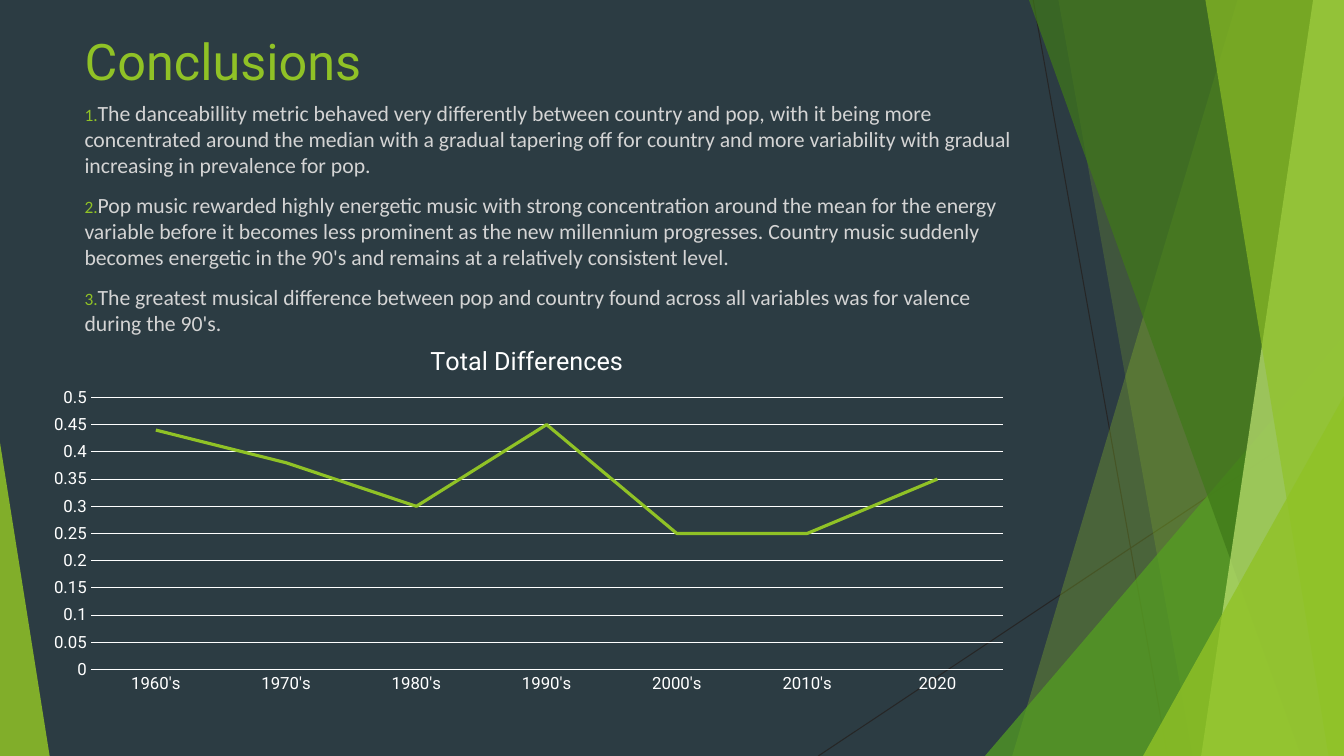
from lxml import etree
from pptx import Presentation
from pptx.chart.data import CategoryChartData
from pptx.dml.color import RGBColor
from pptx.enum.chart import XL_CHART_TYPE as ChartType, XL_TICK_MARK as TickMark
from pptx.enum.shapes import MSO_CONNECTOR as Connector, MSO_SHAPE as Shape
from pptx.enum.text import MSO_ANCHOR as Anchor, MSO_AUTO_SIZE as AutoSize, PP_ALIGN as Align
from pptx.oxml import parse_xml
from pptx.oxml.ns import nsdecls, qn
from pptx.util import Pt

SLATE = RGBColor(0x2C, 0x3C, 0x43)
LIME = RGBColor(0x90, 0xC2, 0x26)
GREEN = RGBColor(0x54, 0xA0, 0x21)
DARK_GREEN = RGBColor(0x3F, 0x78, 0x19)
PALE_LIME = RGBColor(0xC0, 0xE4, 0x74)
CHARCOAL = RGBColor(0x26, 0x26, 0x26)
LIGHT_GRAY = RGBColor(0xD4, 0xD4, 0xD4)
WHITE = RGBColor(0xFF, 0xFF, 0xFF)
WIDTH, HEIGHT = 960, 540


def style_font(font, name, size, color):
    font.name, font.size, font.bold = name, Pt(size), False
    font.color.rgb = color


def style_facet(shape, color, opacity):
    shape.shadow.inherit = False
    shape.line.fill.background()
    shape.fill.solid()
    shape.fill.fore_color.rgb = color
    color_element = shape.fill._xPr.find(qn("a:solidFill"))[0]
    etree.SubElement(color_element, qn("a:alpha"), val=str(opacity * 1000))


presentation = Presentation()
presentation.slide_width, presentation.slide_height = Pt(WIDTH), Pt(HEIGHT)
slide = presentation.slides.add_slide(presentation.slide_layouts[5])
slide.background.fill.solid()
slide.background.fill.fore_color.rgb = SLATE
shapes = slide.shapes

# Thin crossing lines
for x1, y1, x2, y2 in [(738, 0, 834, HEIGHT), (WIDTH, 290, 584.5, HEIGHT)]:
    line = shapes.add_connector(Connector.STRAIGHT, Pt(x1), Pt(y1), Pt(x2), Pt(y2))
    line.line.color.rgb = CHARCOAL
    line.line.width = Pt(0.75)
    etree.SubElement(line._element.spPr, qn("a:effectLst"))

# Facets reach the right edge: left x at the top, left x at the bottom
# Triangles: left, top, width, apex position
facets = [
    ("band", (884, 723), LIME, 30),
    ("band", (756, 852), LIME, 20),
    ("triangle", (703.5, 240, 256.5, 1), GREEN, 72),
    ("band", (735, 929.5), DARK_GREEN, 70),
    ("band", (938, 858), PALE_LIME, 70),
    ("band", (861, 949), LIME, 65),
    ("triangle", (816.5, 283, 143.5, 1), LIME, 80),
    ("triangle", (0, 316, 35.5, 0), LIME, 85),
]
for kind, geometry, color, opacity in facets:
    if kind == "band":
        top_x, bottom_x = geometry
        builder = shapes.build_freeform(Pt(top_x), 0)
        corners = [(WIDTH, 0), (WIDTH, HEIGHT), (bottom_x, HEIGHT)]
        builder.add_line_segments([(Pt(x), Pt(y)) for x, y in corners])
        facet = builder.convert_to_shape()
    else:
        left, top, width, apex = geometry
        facet = shapes.add_shape(Shape.ISOSCELES_TRIANGLE, Pt(left), Pt(top),
                                 Pt(width), Pt(HEIGHT - top))
        facet.adjustments[0] = apex
    style_facet(facet, color, opacity)

# Title
title = shapes.title
title.left, title.top, title.width, title.height = Pt(53.3), Pt(15.8), Pt(677), Pt(52.5)
title.text_frame.text = "Conclusions"
title.text_frame.auto_size = AutoSize.NONE
title.text_frame.vertical_anchor = Anchor.BOTTOM
title.text_frame.paragraphs[0].alignment = Align.LEFT
style_font(title.text_frame.paragraphs[0].runs[0].font, "Roboto", 36, LIME)

# Numbered conclusions
conclusions = [
    "The danceabillity metric behaved very differently between country and pop, with it being "
    "more concentrated around the median with a gradual tapering off for country and more "
    "variability with gradual increasing in prevalence for pop.",
    "Pop music rewarded highly energetic music with strong concentration around the mean for "
    "the energy variable before it becomes less prominent as the new millennium progresses. "
    "Country music suddenly becomes energetic in the 90's and remains at a relatively "
    "consistent level.",
    "The greatest musical difference between pop and country found across all variables was "
    "for valence during the 90's.",
]
body = shapes.add_textbox(Pt(53.3), Pt(67.7), Pt(677), Pt(154)).text_frame
body.word_wrap = True
for index, conclusion in enumerate(conclusions):
    paragraph = body.add_paragraph() if index else body.paragraphs[0]
    paragraph.text = conclusion
    paragraph.space_before = Pt(10)
    style_font(paragraph.runs[0].font, "Calibri", 15.5, LIGHT_GRAY)
    properties = paragraph._p.get_or_add_pPr()
    properties.set("marL", "0")
    properties.set("indent", "0")
    bullet_color = etree.SubElement(properties, qn("a:buClr"))
    etree.SubElement(bullet_color, qn("a:srgbClr"), val=str(LIME))
    etree.SubElement(properties, qn("a:buSzPct"), val="80000")
    etree.SubElement(properties, qn("a:buFont"), typeface="+mj-lt")
    etree.SubElement(properties, qn("a:buAutoNum"), type="arabicPeriod")

# Line chart
data = CategoryChartData()
data.categories = ["1960's", "1970's", "1980's", "1990's", "2000's", "2010's", "2020"]
data.add_series("Series 1", [0.44, 0.38, 0.3, 0.45, 0.25, 0.25, 0.35])
chart = shapes.add_chart(ChartType.LINE, Pt(22.3), Pt(233.3), Pt(708), Pt(266.4), data).chart
style_font(chart.font, "Roboto", 10, WHITE)
chart.has_legend = False
chart.has_title = True
chart.chart_title.include_in_layout = False
chart.chart_title.text_frame.text = "Total Differences"
style_font(chart.chart_title.text_frame.paragraphs[0].runs[0].font, "Roboto", 18, WHITE)

for axis in (chart.category_axis, chart.value_axis):
    axis.major_tick_mark = axis.minor_tick_mark = TickMark.NONE
    style_font(axis.tick_labels.font, "Roboto", 12, WHITE)
chart.category_axis.format.line.color.rgb = WHITE
chart.category_axis.format.line.width = Pt(0.75)

value_axis = chart.value_axis
value_axis.minimum_scale, value_axis.maximum_scale, value_axis.major_unit = 0, 0.5, 0.05
value_axis.format.line.fill.background()
value_axis.major_gridlines.format.line.color.rgb = WHITE
value_axis.major_gridlines.format.line.width = Pt(0.75)

series = chart.plots[0].series[0]
series.smooth = False
series.format.line.color.rgb = LIME
series.format.line.width = Pt(2.25)

# Fixed plot area inside the chart
plot_area = chart._chartSpace.chart.plotArea
for old_layout in plot_area.findall(qn("c:layout")):
    plot_area.remove(old_layout)
plot_area.insert(0, parse_xml(
    f'<c:layout {nsdecls("c")}><c:manualLayout><c:layoutTarget val="inner"/>'
    '<c:xMode val="edge"/><c:yMode val="edge"/><c:x val="0.06"/><c:y val="0.19"/>'
    '<c:w val="0.92"/><c:h val="0.73"/></c:manualLayout></c:layout>'))

presentation.save("out.pptx")
